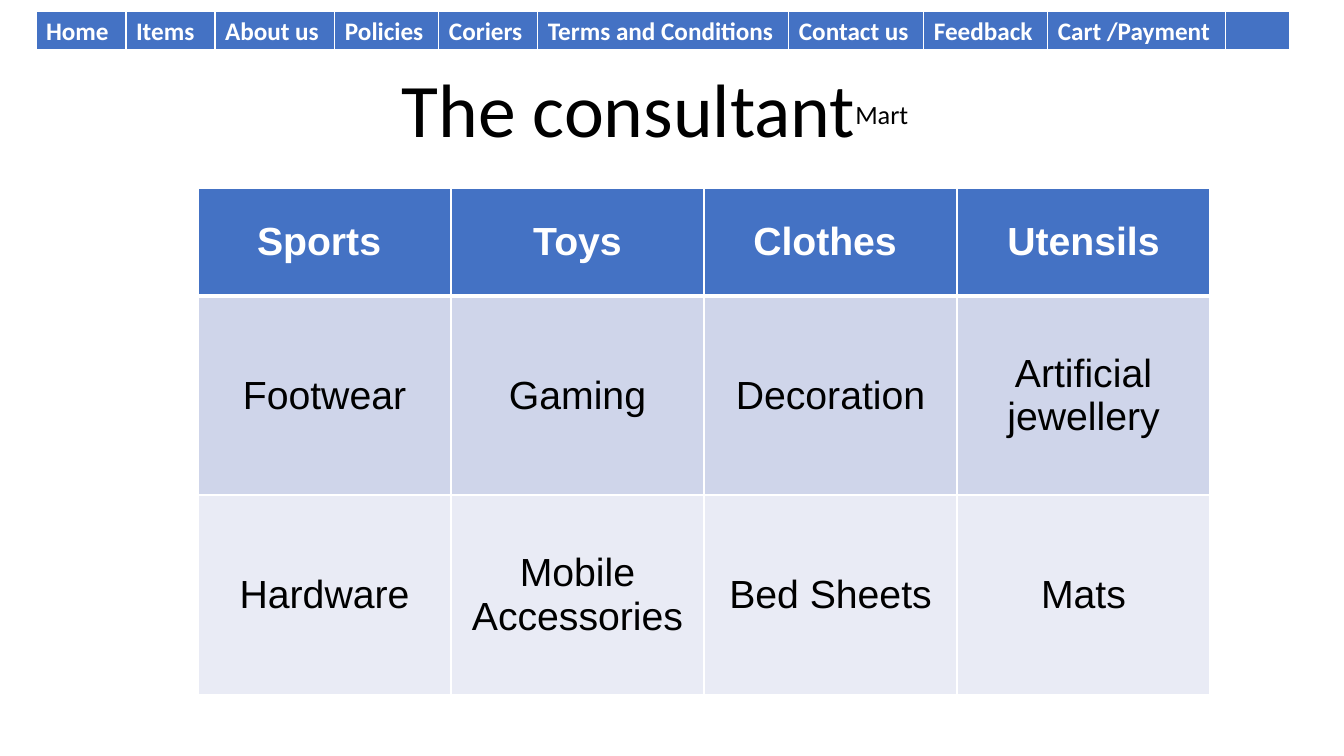
from dataclasses import dataclass

from lxml.etree import SubElement
from pptx import Presentation
from pptx.dml.color import RGBColor
from pptx.enum.text import MSO_ANCHOR, PP_ALIGN
from pptx.oxml.ns import qn
from pptx.util import Emu, Pt

EMU_PER_PIXEL = 914400 / 100.8
COLORS = {
    "white": "FFFFFF",
    "black": "000000",
    "header": "4472C4",
    "dark band": "CFD5EA",
    "light band": "E9EBF5",
}


@dataclass
class RowStyle:
    height: int
    fill: str
    color: str
    bold: bool = False
    top_line: float = 1
    bottom_line: float = 1


@dataclass
class Grid:
    left: int
    top: int
    widths: list[int]
    rows: list[list[str]]
    styles: list[RowStyle]
    font: str
    size: float
    align: PP_ALIGN
    anchor: MSO_ANCHOR


def px(pixels: float) -> Emu:
    return Emu(round(pixels * EMU_PER_PIXEL))


def rgb(name: str) -> RGBColor:
    return RGBColor.from_string(COLORS[name])


def add_text(paragraph, text: str, *, font: str, size: float, color: str,
             bold: bool = False, baseline: int = 0) -> None:
    run = paragraph.add_run()
    run.text = text
    run.font.name = font
    run.font.size = Pt(size)
    run.font.bold = bold
    run.font.color.rgb = rgb(color)
    if baseline:
        run._r.get_or_add_rPr().set("baseline", str(baseline * 1000))


def add_borders(cell, style: RowStyle) -> None:
    properties = cell._tc.get_or_add_tcPr()
    line_widths = {"lnL": 1, "lnR": 1, "lnT": style.top_line, "lnB": style.bottom_line}
    for tag, width in line_widths.items():
        line = SubElement(properties, qn(f"a:{tag}"), w=str(Pt(width)))
        fill = SubElement(line, qn("a:solidFill"))
        SubElement(fill, qn("a:srgbClr"), val=COLORS["white"])


def add_grid(slide, grid: Grid) -> None:
    heights = [style.height for style in grid.styles]
    table = slide.shapes.add_table(
        len(grid.rows), len(grid.widths), px(grid.left), px(grid.top),
        px(sum(grid.widths)), px(sum(heights))).table
    table.horz_banding = False
    for column, width in zip(table.columns, grid.widths):
        column.width = px(width)
    for row, texts, style in zip(table.rows, grid.rows, grid.styles):
        row.height = px(style.height)
        for cell, text in zip(row.cells, texts):
            add_borders(cell, style)
            cell.fill.solid()
            cell.fill.fore_color.rgb = rgb(style.fill)
            cell.vertical_anchor = grid.anchor
            paragraph = cell.text_frame.paragraphs[0]
            paragraph.alignment = grid.align
            if text:
                add_text(paragraph, text, font=grid.font, size=grid.size,
                         color=style.color, bold=style.bold)


presentation = Presentation()
presentation.slide_width, presentation.slide_height = px(1344), px(756)
slide = presentation.slides.add_slide(presentation.slide_layouts[6])

# Title
title = slide.shapes.add_textbox(px(344), px(85), px(639), px(74))
title.text_frame.word_wrap = True
title.text_frame.vertical_anchor = MSO_ANCHOR.BOTTOM
heading = title.text_frame.paragraphs[0]
heading.alignment = PP_ALIGN.CENTER
heading.line_spacing = 0.9
add_text(heading, "The consultant", font="Calibri", size=54, color="black")
add_text(heading, "Mart", font="Calibri", size=32.4, color="black", baseline=30)
add_text(heading, " ", font="Calibri", size=54, color="black")

# Product categories
categories = Grid(
    left=198, top=188, widths=[253] * 4,
    rows=[
        ["Sports ", "Toys", "Clothes ", "Utensils"],
        ["Footwear", "Gaming", "Decoration", "Artificial jewellery"],
        ["Hardware", "Mobile Accessories", "Bed Sheets", "Mats"],
    ],
    styles=[
        RowStyle(108, "header", "white", bold=True, bottom_line=3),
        RowStyle(199, "dark band", "black", top_line=3),
        RowStyle(200, "light band", "black"),
    ],
    font="Arial", size=28, align=PP_ALIGN.CENTER, anchor=MSO_ANCHOR.MIDDLE)

# Navigation bar
navigation = Grid(
    left=36, top=11, widths=[90, 89, 120, 104, 99, 251, 135, 124, 178, 64],
    rows=[["Home", "Items", "About us", "Policies", "Coriers", "Terms and Conditions",
           "Contact us", "Feedback", "Cart /Payment", ""]],
    styles=[RowStyle(40, "header", "white", bold=True, bottom_line=3)],
    font="Calibri", size=18, align=PP_ALIGN.LEFT, anchor=MSO_ANCHOR.TOP)

for grid in (categories, navigation):
    add_grid(slide, grid)

presentation.save("out.pptx")
